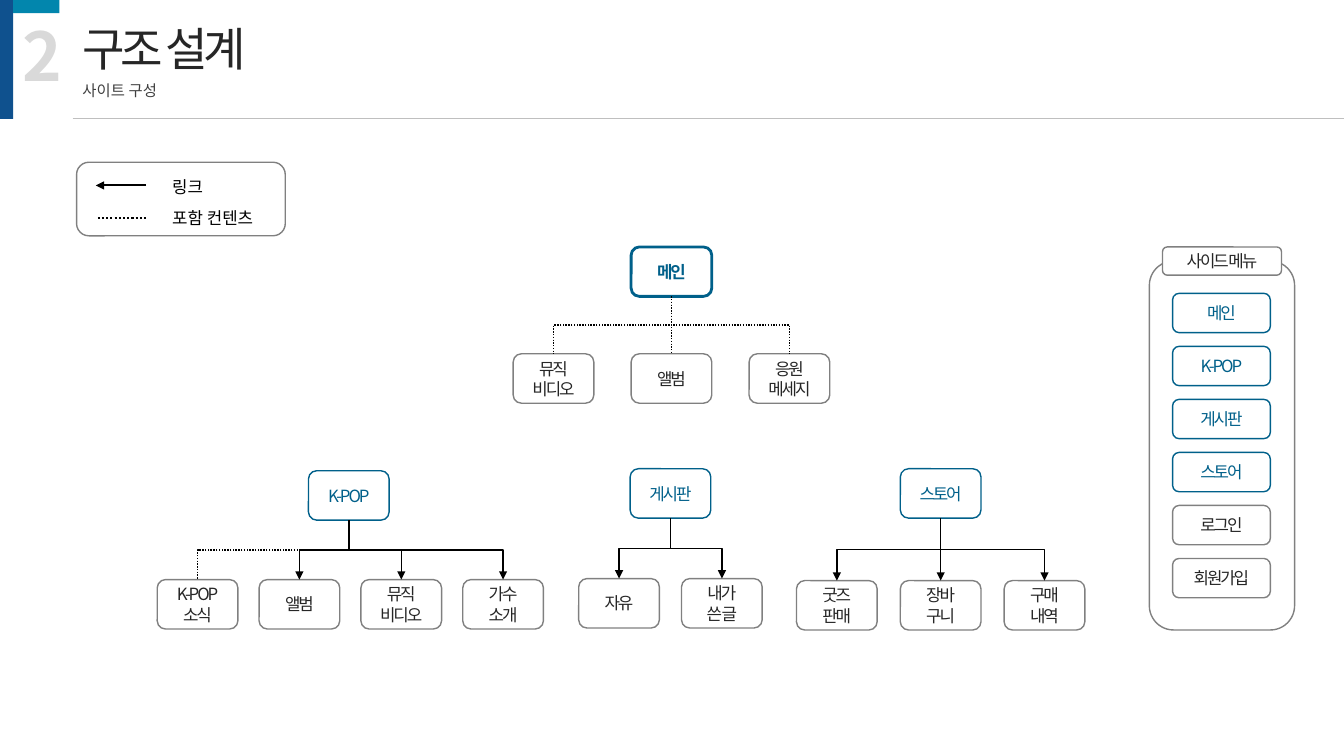
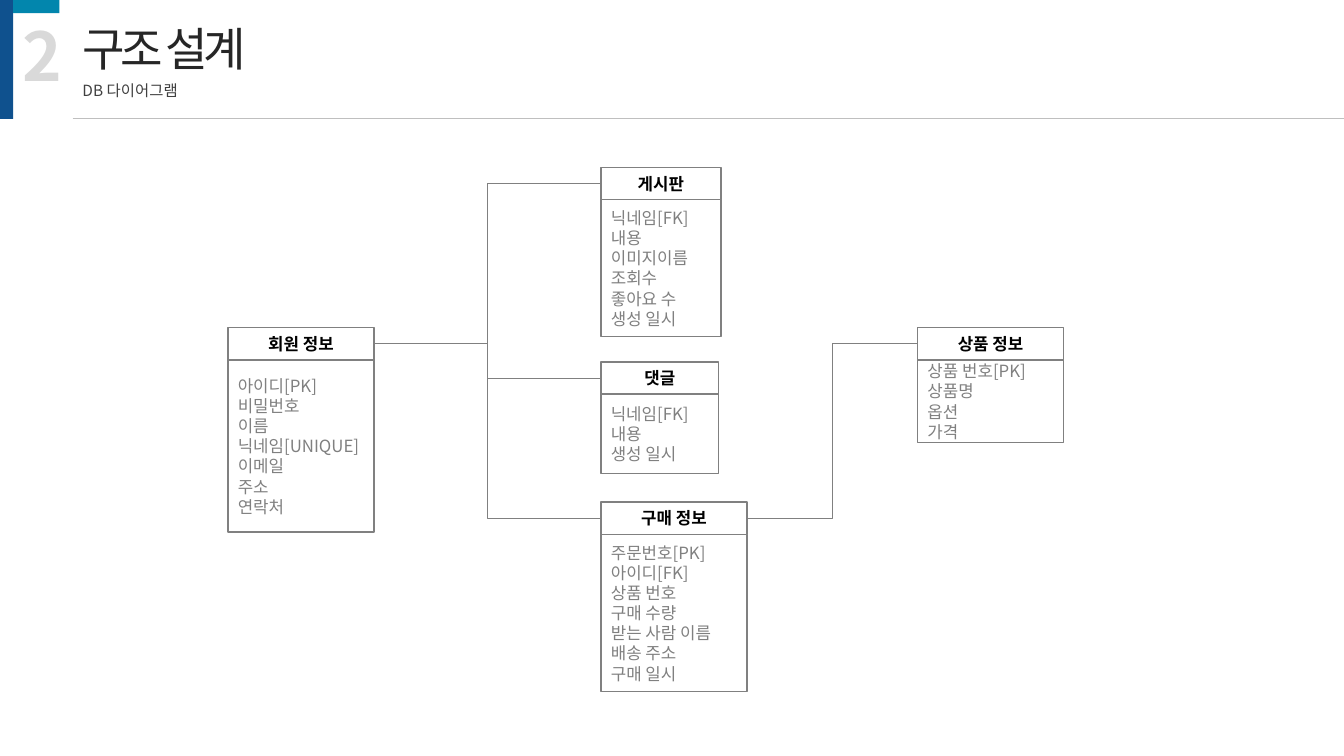
from lxml import etree
from pptx import Presentation
from pptx.dml.color import RGBColor
from pptx.enum.dml import MSO_LINE
from pptx.enum.shapes import MSO_CONNECTOR, MSO_SHAPE
from pptx.enum.text import MSO_ANCHOR, PP_ALIGN
from pptx.oxml.ns import qn
from pptx.util import Inches, Pt

FONT = "Noto Sans CJK KR"
NAVY = RGBColor(0x0F, 0x51, 0x8E)
TEAL = RGBColor(0x02, 0x86, 0xAD)
BLUE = RGBColor(0x00, 0x60, 0x8A)
BLACK = RGBColor(0, 0, 0)
WHITE = RGBColor(0xFF, 0xFF, 0xFF)
INK = RGBColor(0x26, 0x26, 0x26)
DARK_GRAY = RGBColor(0x40, 0x40, 0x40)
GRAY = RGBColor(0x80, 0x80, 0x80)
RULE_GRAY = RGBColor(0xBF, 0xBF, 0xBF)
NUMBER_GRAY = RGBColor(0xD9, 0xD9, 0xD9)

RECT, ROUNDED = MSO_SHAPE.RECTANGLE, MSO_SHAPE.ROUNDED_RECTANGLE
STRAIGHT, ELBOW = MSO_CONNECTOR.STRAIGHT, MSO_CONNECTOR.ELBOW
LEFT, CENTER = PP_ALIGN.LEFT, PP_ALIGN.CENTER
TOP, MIDDLE = MSO_ANCHOR.TOP, MSO_ANCHOR.MIDDLE
DOTTED = MSO_LINE.ROUND_DOT

# Content: site map
TITLE = "구조 설계"
SECTION = "2"
NODE_W, NODE_H = 0.8, 0.49
# Each page: name, left, top; first child left, step, top; children; dotted children
PAGES = [
    ("메인", 6.26, 2.45, 5.09, 1.17, 3.51,
     ["뮤직\n비디오", "앨범", "응원\n메세지"], {0, 1, 2}),
    ("K-POP", 3.06, 4.67, 1.56, 1.01, 5.75,
     ["K-POP\n소식", "앨범", "뮤직\n비디오", "가수\n소개"], {0}),
    ("게시판", 6.25, 4.65, 5.74, 1.02, 5.74, ["자유", "내가\n쓴 글"], set()),
    ("스토어", 8.93, 4.65, 7.9, 1.03, 5.76,
     ["굿즈\n판매", "장바\n구니", "구매\n내역"], set()),
]
SIDE_MENU = ["메인", "K-POP", "게시판", "스토어", "로그인", "회원가입"]
MENU_TOP, MENU_BOTTOM = 2.91, 5.54
LINKED_PAGES = {page[0] for page in PAGES}

# Content: database tables as left, top, width, body height, fields
HEADER_H = 0.32
TABLES = {
    "회원 정보": (2.26, 3.25, 1.45, 1.71,
              ["아이디[PK]", "비밀번호", "이름", "닉네임[UNIQUE]", "이메일", "주소", "연락처"]),
    "게시판": (5.96, 1.66, 1.19, 1.36,
            ["닉네임[FK]", "내용", "이미지이름", "조회수", "좋아요 수", "생성 일시"]),
    "댓글": (5.96, 3.59, 1.17, 0.79, ["닉네임[FK]", "내용", "생성 일시"]),
    "상품 정보": (9.1, 3.25, 1.45, 0.82, ["상품 번호[PK]", "상품명", "옵션", "가격"]),
    "구매 정보": (5.96, 4.98, 1.45, 1.56,
              ["주문번호[PK]", "아이디[FK]", "상품 번호", "구매 수량",
               "받는 사람 이름", "배송 주소", "구매 일시"]),
}
RELATIONS = [("회원 정보", "게시판"), ("회원 정보", "댓글"),
             ("회원 정보", "구매 정보"), ("구매 정보", "상품 정보")]


def write(frame, text, size, color, bold=False, align=LEFT, anchor=TOP,
          spacing=0, wrap=True):
    frame.text = text
    frame.word_wrap = wrap
    frame.vertical_anchor = anchor
    for paragraph in frame.paragraphs:
        paragraph.alignment = align
        font = paragraph.font
        font.name, font.size, font.bold = FONT, Pt(size), bold
        font.color.rgb = color
        # East Asian face and letter spacing
        props = paragraph._p.get_or_add_pPr().find(qn("a:defRPr"))
        props.set("spc", str(int(spacing * 100)))
        etree.SubElement(props, qn("a:ea")).set("typeface", FONT)


def add_label(slide, box, text, size, color, **style):
    label = slide.shapes.add_textbox(*map(Inches, box))
    write(label.text_frame, text, size, color, **style)


def add_box(slide, kind, box, fill=WHITE, line=None, weight=1):
    shape = slide.shapes.add_shape(kind, *map(Inches, box))
    shape.shadow.inherit = False
    shape.fill.solid()
    shape.fill.fore_color.rgb = fill
    if line is None:
        shape.line.fill.background()
    else:
        shape.line.color.rgb = line
        shape.line.width = Pt(weight)
    return shape


def add_node(slide, box, text, linked=False, main=False):
    node = add_box(slide, ROUNDED, box, line=BLUE if linked else GRAY,
                   weight=2 if main else 1)
    write(node.text_frame, text, 12, BLUE if linked else INK, bold=main,
          align=CENTER, anchor=MIDDLE, spacing=-1.5)


def add_line(slide, kind, start, end, color=BLACK, weight=1, dotted=False,
             arrow=False):
    line = slide.shapes.add_connector(kind, *map(Inches, (*start, *end)))
    line.line.color.rgb = color
    line.line.width = Pt(weight)
    if dotted:
        line.line.dash_style = DOTTED
    props = line._element.spPr
    if arrow:
        etree.SubElement(props.find(qn("a:ln")), qn("a:tailEnd")).set("type", "triangle")
    etree.SubElement(props, qn("a:effectLst"))
    return line


def add_branch(slide, start, end, **style):
    """Elbow that leaves downwards: a sideways elbow turned by a quarter."""
    (x1, y1), (x2, y2) = start, end
    if abs(x2 - x1) < 0.02:
        add_line(slide, STRAIGHT, start, (x1, y2), **style)
        return
    mid_x, mid_y = (x1 + x2) / 2, (y1 + y2) / 2
    half_w, half_h = (y2 - y1) / 2, abs(x2 - x1) / 2
    side = 1 if x2 > x1 else -1
    branch = add_line(slide, ELBOW, (mid_x + side * half_w, mid_y - half_h),
                      (mid_x - side * half_w, mid_y + half_h), **style)
    turn = 270 if side > 0 else 90
    branch._element.spPr.find(qn("a:xfrm")).set("rot", str(turn * 60000))


def add_page(prs, subtitle):
    slide = prs.slides.add_slide(prs.slide_layouts[5])
    add_box(slide, RECT, (0, 0, 0.13, 1.18), NAVY)
    add_box(slide, RECT, (0.13, 0, 0.46, 0.13), TEAL)
    title = slide.shapes.title
    title.left, title.top, title.width, title.height = map(Inches, (0.72, 0.15, 4.2, 0.67))
    write(title.text_frame, TITLE, 33, INK, spacing=-3)
    add_label(slide, (0.72, 0.76, 4.2, 0.29), subtitle, 11, DARK_GRAY)
    add_label(slide, (0.12, 0.09, 0.59, 0.91), SECTION, 48, NUMBER_GRAY,
              bold=True, wrap=False)
    add_line(slide, STRAIGHT, (0.72, 1.17), (13.33, 1.17), RULE_GRAY, 0.5)
    return slide


def build_site_map(prs):
    slide = add_page(prs, "사이트 구성")

    # Legend
    add_box(slide, ROUNDED, (0.76, 1.61, 2.07, 0.73), line=GRAY)
    add_line(slide, STRAIGHT, (1.45, 1.84), (0.95, 1.84), weight=1.5, arrow=True)
    add_line(slide, STRAIGHT, (0.97, 2.16), (1.47, 2.16), weight=1.5, dotted=True)
    add_label(slide, (1.61, 1.7, 0.56, 0.24), "링크", 12, BLACK)
    add_label(slide, (1.61, 2.01, 1.12, 0.3), "포함 컨텐츠", 12, BLACK)

    # Side menu
    add_box(slide, ROUNDED, (11.4, 2.59, 1.44, 3.66), line=GRAY)
    add_node(slide, (11.53, 2.45, 1.18, 0.28), "사이드 메뉴")
    step = (MENU_BOTTOM - MENU_TOP) / (len(SIDE_MENU) - 1)
    for i, item in enumerate(SIDE_MENU):
        add_node(slide, (11.63, MENU_TOP + i * step, 0.97, 0.39), item,
                 linked=item in LINKED_PAGES)

    # Pages and their children
    for name, left, top, first, gap, child_top, children, included in PAGES:
        add_node(slide, (left, top, NODE_W, NODE_H), name, linked=True,
                 main=name == "메인")
        for i, child in enumerate(children):
            child_left = first + i * gap
            add_node(slide, (child_left, child_top, NODE_W, NODE_H), child)
            add_branch(slide, (left + NODE_W / 2, top + NODE_H),
                       (child_left + NODE_W / 2, child_top),
                       dotted=i in included, arrow=i not in included)


def build_db_diagram(prs):
    slide = add_page(prs, "DB 다이어그램")

    # Tables
    for name, (left, top, width, body_h, fields) in TABLES.items():
        header = add_box(slide, RECT, (left, top, width, HEADER_H), line=GRAY)
        write(header.text_frame, name, 12, BLACK, bold=True, align=CENTER, anchor=MIDDLE)
        body = add_box(slide, RECT, (left, top + HEADER_H, width, body_h), line=GRAY)
        write(body.text_frame, "\n".join(fields), 12, GRAY, anchor=MIDDLE)

    # Relations run from header side to header side
    for source, target in RELATIONS:
        left, top, width = TABLES[source][:3]
        target_left, target_top = TABLES[target][:2]
        add_line(slide, ELBOW, (left + width, top + HEADER_H / 2),
                 (target_left, target_top + HEADER_H / 2), GRAY, 0.5)


def main():
    prs = Presentation()
    prs.slide_width, prs.slide_height = Inches(13.33), Inches(7.5)
    build_site_map(prs)
    build_db_diagram(prs)
    prs.save("out.pptx")


if __name__ == "__main__":
    main()
